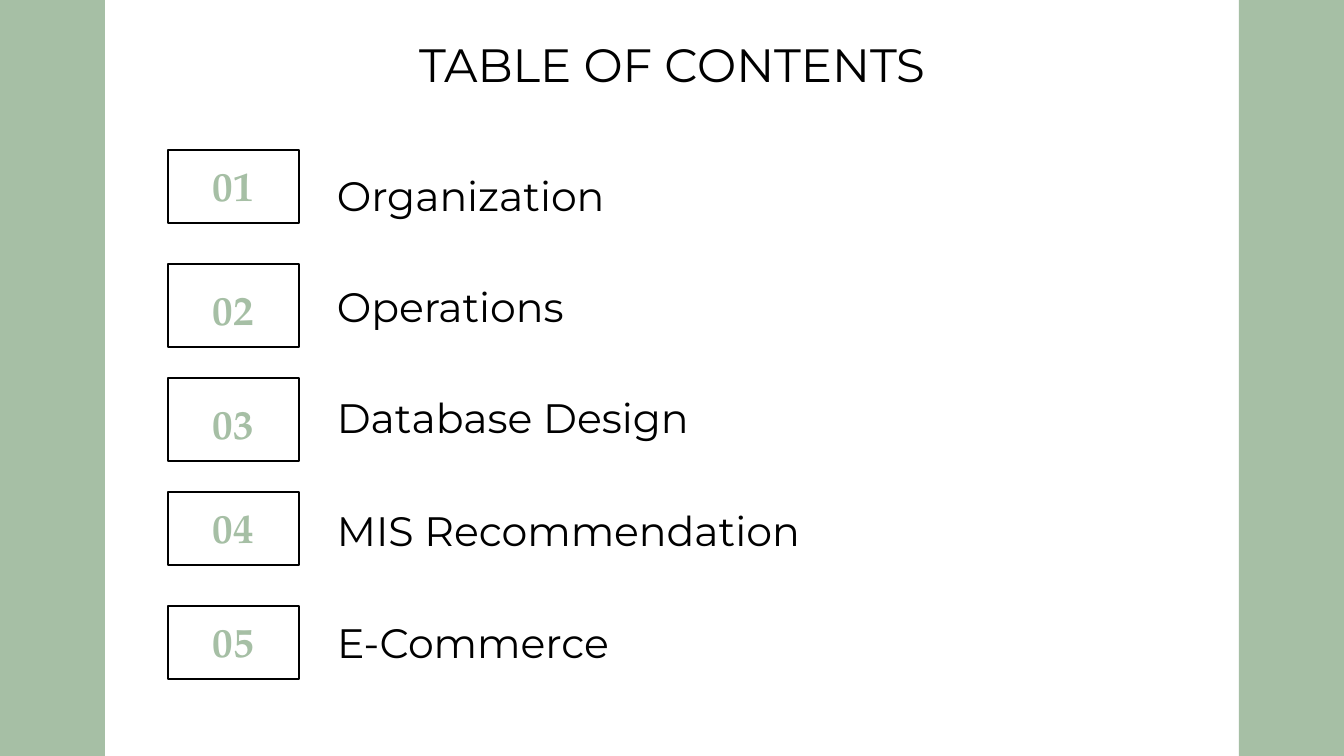
from dataclasses import dataclass

from pptx import Presentation
from pptx.dml.color import RGBColor
from pptx.enum.shapes import MSO_SHAPE as Shape
from pptx.enum.text import MSO_ANCHOR as Anchor, MSO_AUTO_SIZE as AutoSize, PP_ALIGN as Align
from pptx.util import Emu, Pt

PX = 914400 / 134.4
WIDTH, HEIGHT = 1344, 756
BAND_WIDTH = 105
BOX_LEFT, BOX_TOP, BOX_WIDTH, BOX_PITCH = 168, 150, 131, 114
LABEL_LEFT = 324
INSET = 13

ROWS = [
    ("Organization", 73, 152, 418, 81),
    ("Operations", 83, 271, 343, 73),
    ("Database Design", 83, 382, 418, 73),
    ("MIS Recommendation", 73, 495, 512, 73),
    ("E-Commerce", 73, 607, 431, 73),
]


def px(*lengths):
    return [Emu(round(length * PX)) for length in lengths]


@dataclass(frozen=True)
class Theme:
    sage: RGBColor = RGBColor.from_string("A6BFA5")
    ink: RGBColor = RGBColor.from_string("000000")
    text_font: str = "Montserrat"
    number_font: str = "TeX Gyre Pagella"
    title_size: int = 25
    item_size: int = 22
    line_width: float = 0.75


class ContentsSlide:
    """Draws the parts of a contents slide in one theme."""

    def __init__(self, slide, theme):
        self.slide = slide
        self.theme = theme

    def set_text(self, shape, text, font_name, size, color, align, anchor, bold=False):
        frame = shape.text_frame
        frame.text = text
        frame.word_wrap = True
        frame.auto_size = AutoSize.NONE
        frame.vertical_anchor = anchor
        inset, = px(INSET)
        frame.margin_left = frame.margin_right = inset
        frame.margin_top = frame.margin_bottom = inset
        paragraph = frame.paragraphs[0]
        paragraph.alignment = align
        font = paragraph.runs[0].font
        font.name, font.size, font.bold = font_name, Pt(size), bold
        font.color.rgb = color

    def rectangle(self, *bounds):
        shape = self.slide.shapes.add_shape(Shape.RECTANGLE, *px(*bounds))
        shape.shadow.inherit = False
        return shape

    def band(self, left):
        shape = self.rectangle(left, 0, BAND_WIDTH, HEIGHT)
        shape.fill.solid()
        shape.fill.fore_color.rgb = self.theme.sage
        shape.line.fill.background()

    def title(self, text, *bounds):
        shape = self.slide.shapes.title
        shape.left, shape.top, shape.width, shape.height = px(*bounds)
        self.set_text(shape, text, self.theme.text_font, self.theme.title_size,
                      self.theme.ink, Align.CENTER, Anchor.TOP)

    def number_box(self, text, *bounds):
        shape = self.rectangle(*bounds)
        shape.fill.background()
        shape.line.color.rgb = self.theme.ink
        shape.line.width = Pt(self.theme.line_width)
        self.set_text(shape, text, self.theme.number_font, self.theme.item_size,
                      self.theme.sage, Align.CENTER, Anchor.BOTTOM, bold=True)

    def label(self, text, *bounds):
        shape = self.slide.shapes.add_textbox(*px(*bounds))
        self.set_text(shape, text, self.theme.text_font, self.theme.item_size,
                      self.theme.ink, Align.LEFT, Anchor.BOTTOM)


def main():
    presentation = Presentation()
    presentation.slide_width, presentation.slide_height = px(WIDTH, HEIGHT)
    slide = presentation.slides.add_slide(presentation.slide_layouts[5])
    contents = ContentsSlide(slide, Theme())
    for left in (0, WIDTH - BAND_WIDTH):
        contents.band(left)
    contents.title("TABLE OF CONTENTS", BAND_WIDTH, 23, WIDTH - 2 * BAND_WIDTH, 86)
    for index, (name, box_height, label_top, label_width, label_height) in enumerate(ROWS):
        box_top = BOX_TOP + index * BOX_PITCH
        contents.number_box(f"{index + 1:02}", BOX_LEFT, box_top, BOX_WIDTH, box_height)
        contents.label(name, LABEL_LEFT, label_top, label_width, label_height)
    presentation.save("out.pptx")


if __name__ == "__main__":
    main()
